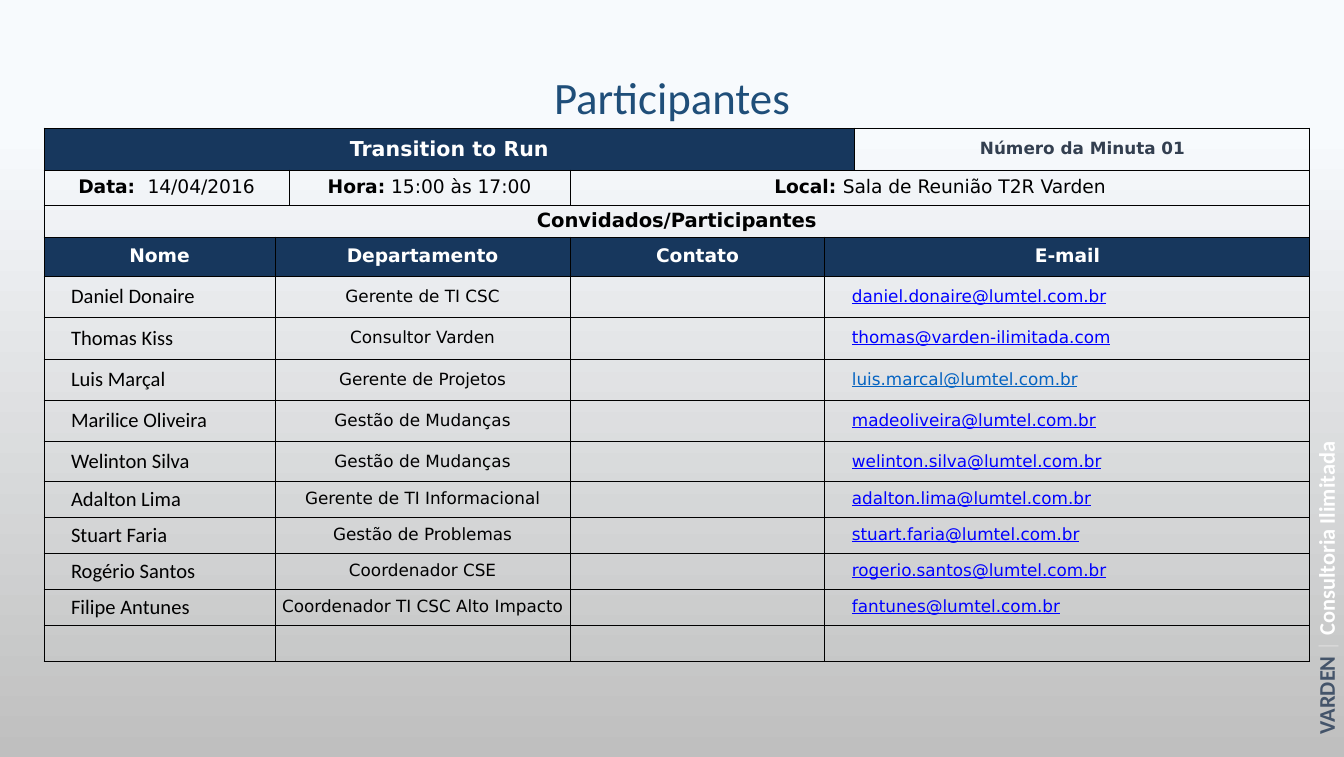
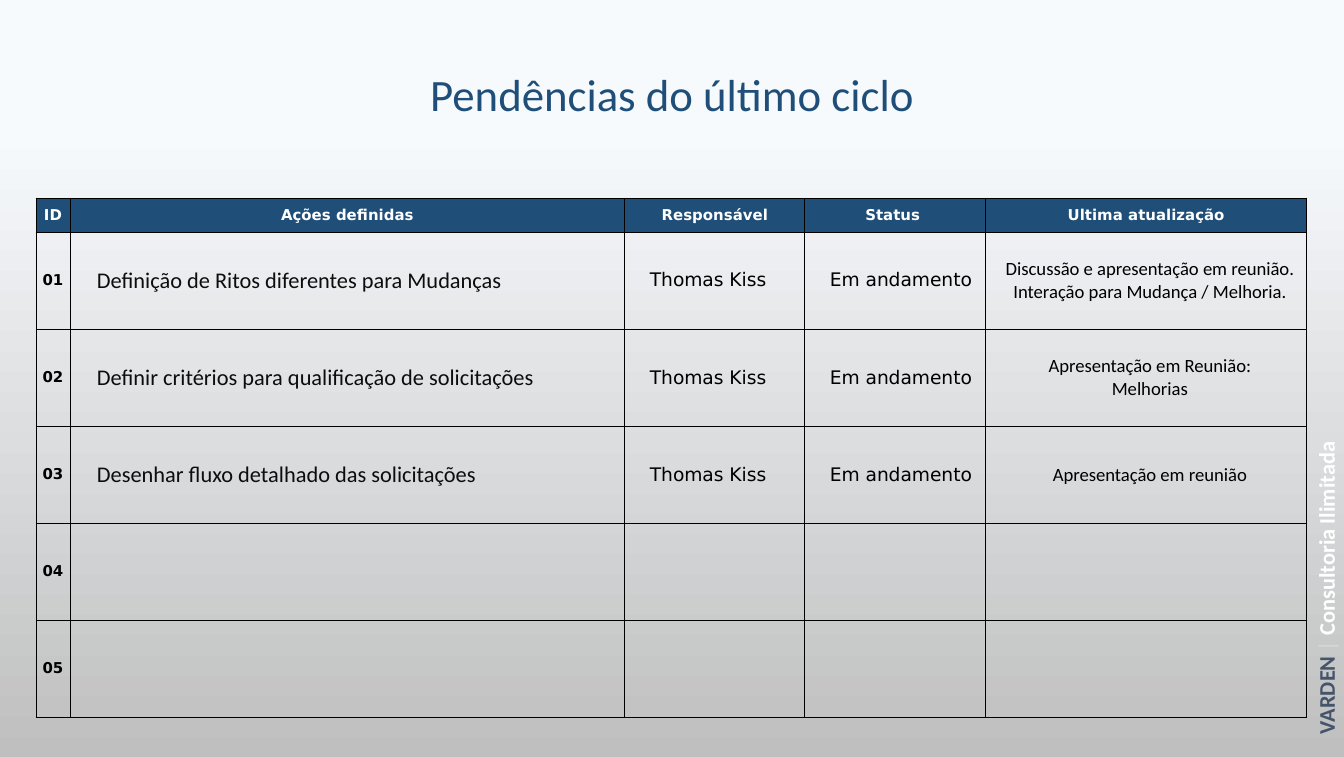
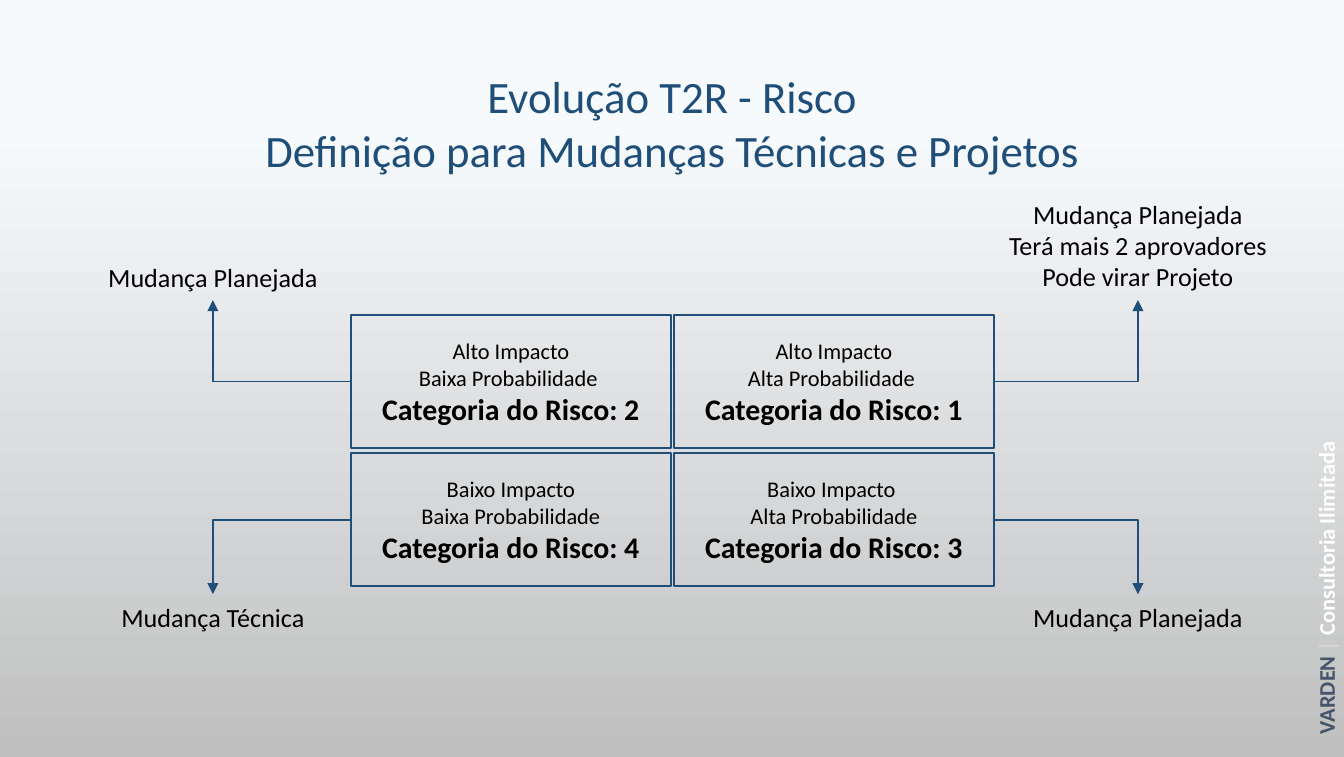
from dataclasses import dataclass
from typing import Optional, Union

from lxml import etree
from pptx import Presentation
from pptx.dml.color import RGBColor
from pptx.enum.shapes import MSO_CONNECTOR, MSO_SHAPE
from pptx.enum.text import MSO_ANCHOR, MSO_AUTO_SIZE, PP_ALIGN
from pptx.oxml.ns import qn
from pptx.slide import Slide
from pptx.table import Table, _Cell
from pptx.text.text import TextFrame
from pptx.util import Emu, Inches, Pt

LEFT, CENTER, RIGHT = PP_ALIGN.LEFT, PP_ALIGN.CENTER, PP_ALIGN.RIGHT
TOP, MIDDLE = MSO_ANCHOR.TOP, MSO_ANCHOR.MIDDLE
RECTANGLE, ELBOW = MSO_SHAPE.RECTANGLE, MSO_CONNECTOR.ELBOW
GROW, FIXED = MSO_AUTO_SIZE.SHAPE_TO_FIT_TEXT, MSO_AUTO_SIZE.NONE

EMU_PER_PX = 914400 / 134.4
SLIDE_W = 1344
SLIDE_SIZE = Inches(10), Inches(5.63)
SANS, WIDE_SANS = "Calibri", "DejaVu Sans"
NO_INSET = (0, 0, 0, 0)
BOX_INSET = (13, 7, 13, 7)
PLAIN_TABLE = "{2D5ABB26-0587-4C30-8999-92F81FD0307C}"

COLORS = {
    "sky": "F7FAFD",
    "gray": "BFBFBF",
    "blue": "1F4E79",
    "navy": "17375D",
    "slate": "333F50",
    "brand": "44546A",
    "divider": "D9D9D9",
    "white": "FFFFFF",
    "black": "000000",
    "ink": "0D0D0D",
    "link": "0000FF",
    "visited": "0563C1",
}


@dataclass
class Run:
    text: str
    bold: Optional[bool] = None
    color: Optional[str] = None


@dataclass
class Participant:
    name: str
    department: str
    email: str
    email_color: str = "link"


@dataclass
class Action:
    number: str
    title: str = ""
    owner: str = ""
    status: str = ""
    update: tuple[str, ...] = ()


@dataclass
class Quadrant:
    column: int
    row: int
    impact: str
    likelihood: str
    category: int
    outcome: tuple[str, ...]
    outcome_w: int
    outcome_h: int = 46


Paragraph = Union[str, list[Run]]


def px(value: float) -> Emu:
    return Emu(round(value * EMU_PER_PX))


def rgb(name: str) -> RGBColor:
    return RGBColor.from_string(COLORS[name])


# Shared text and slide parts
def write(frame: TextFrame, *paragraphs: Paragraph, size: float, font: str = SANS,
          color: str = "black", bold: bool = False, underline: bool = False,
          align: PP_ALIGN = CENTER, last_size: Optional[float] = None) -> None:
    """Fill a frame; last_size makes the last paragraph bold in that size."""
    for index, content in enumerate(paragraphs):
        paragraph = frame.paragraphs[0] if index == 0 else frame.add_paragraph()
        paragraph.alignment = align
        stressed = last_size is not None and index == len(paragraphs) - 1
        for part in [Run(content)] if isinstance(content, str) else content:
            run = paragraph.add_run()
            run.text = part.text
            run.font.name = font
            run.font.size = Pt(last_size if stressed else size)
            run.font.bold = (bold or stressed) if part.bold is None else part.bold
            run.font.underline = underline
            run.font.color.rgb = rgb(part.color or color)


def pad(holder: Union[TextFrame, _Cell], insets: tuple[int, int, int, int],
        anchor: MSO_ANCHOR) -> None:
    left, top, right, bottom = insets
    holder.margin_left, holder.margin_top = px(left), px(top)
    holder.margin_right, holder.margin_bottom = px(right), px(bottom)
    holder.vertical_anchor = anchor


def add_text(slide: Slide, left: float, top: float, width: float, height: float,
             *paragraphs: Paragraph, insets: tuple[int, int, int, int] = BOX_INSET,
             wrap: bool = True, rotation: int = 0, fit: MSO_AUTO_SIZE = GROW,
             **style) -> None:
    box = slide.shapes.add_textbox(px(left), px(top), px(width), px(height))
    box.rotation = rotation
    box.text_frame.word_wrap = wrap
    box.text_frame.auto_size = fit
    pad(box.text_frame, insets, TOP)
    write(box.text_frame, *paragraphs, **style)


def new_slide(prs: Presentation, *title: str, title_h: int, title_y: int = 62,
              title_insets: tuple[int, int, int, int] = (52, 7, 52, 52)) -> Slide:
    slide = prs.slides.add_slide(prs.slide_layouts[6])
    fill = slide.background.fill
    fill.gradient()
    fill.gradient_angle = 270
    for stop, color, position in zip(fill.gradient_stops, ("sky", "gray"), (0.17, 1)):
        stop.color.rgb = rgb(color)
        stop.position = position
    signature = [Run("VARDEN", color="brand"), Run(" | ", False, "divider"),
                 Run("Consultoria Ilimitada", color="white")]
    add_text(slide, 1160, 574, 329, 38, signature, rotation=270, fit=FIXED,
             size=12, bold=True, align=RIGHT)
    add_text(slide, 0, title_y, SLIDE_W, title_h, *title, insets=title_insets,
             size=24, color="blue")
    return slide


# Shared table parts
def add_grid(slide: Slide, left: int, top: int, columns: list[int],
             rows: list[int]) -> Table:
    frame = slide.shapes.add_table(len(rows), len(columns), px(left), px(top),
                                   px(sum(columns)), px(sum(rows)))
    table = frame.table
    table.first_row = table.horz_banding = False
    table._tbl.tblPr.find(qn("a:tableStyleId")).text = PLAIN_TABLE
    for column, width in zip(table.columns, columns):
        column.width = px(width)
    for row, height in zip(table.rows, rows):
        row.height = px(height)
    for cell in table.iter_cells():
        pad(cell, NO_INSET, MIDDLE)
        add_borders(cell)
        cell.fill.background()
        # Small end mark, so that empty cells do not stretch their row
        etree.SubElement(cell.text_frame.paragraphs[0]._p, qn("a:endParaRPr"), sz="900")
    return table


def add_borders(cell: _Cell) -> None:
    properties = cell._tc.get_or_add_tcPr()
    for side in ("a:lnL", "a:lnR", "a:lnT", "a:lnB"):
        line = etree.SubElement(properties, qn(side), w=str(Pt(0.5)))
        solid = etree.SubElement(line, qn("a:solidFill"))
        etree.SubElement(solid, qn("a:srgbClr"), val=COLORS["black"])


def fill_cell(cell: _Cell, *paragraphs: Paragraph, fill: Optional[str] = None,
              indent: int = 0, **style) -> None:
    cell.margin_left = px(indent)
    if fill:
        cell.fill.solid()
        cell.fill.fore_color.rgb = rgb(fill)
    write(cell.text_frame, *paragraphs, **style)


# Slide 1: participants
PARTICIPANTS = [
    Participant("Daniel Donaire", "Gerente de TI CSC", "daniel.donaire@lumtel.com.br"),
    Participant("Thomas Kiss", "Consultor Varden", "thomas@varden-ilimitada.com"),
    Participant("Luis Marçal", "Gerente de Projetos", "luis.marcal@lumtel.com.br", "visited"),
    Participant("Marilice Oliveira", "Gestão de Mudanças", "madeoliveira@lumtel.com.br"),
    Participant("Welinton Silva", "Gestão de Mudanças", "welinton.silva@lumtel.com.br"),
    Participant("Adalton Lima", "Gerente de TI Informacional", "adalton.lima@lumtel.com.br"),
    Participant("Stuart Faria", "Gestão de Problemas", "stuart.faria@lumtel.com.br"),
    Participant("Rogério Santos", "Coordenador CSE", "rogerio.santos@lumtel.com.br"),
    Participant("Filipe Antunes", "Coordenador TI CSC Alto Impacto", "fantunes@lumtel.com.br"),
]


def build_participants(prs: Presentation) -> None:
    slide = new_slide(prs, "Participantes", title_h=67, title_y=63, title_insets=BOX_INSET)
    heights = [42, 35, 32, 39, 41, 42, 41, 42, 39] + [36] * 5
    table = add_grid(slide, 44, 128, [231, 14, 281, 255, 30, 455], heights)
    header_rows = 4
    merges = [(0, 0, 4), (1, 0, 1), (1, 3, 5), (2, 0, 5)]
    for row in range(header_rows - 1, len(heights)):
        merges += [(row, 1, 2), (row, 4, 5)]
    for row, first, last in merges:
        table.cell(row, first).merge(table.cell(row, last))

    # Meeting details
    fill_cell(table.cell(0, 0), "Transition to Run", fill="navy", size=11,
              font=WIDE_SANS, color="white", bold=True)
    fill_cell(table.cell(0, 5), "Número da Minuta 01", size=9, font=WIDE_SANS,
              color="slate", bold=True)
    details = [(0, "Data: ", " 14/04/2016"), (2, "Hora:", " 15:00 às 17:00"),
               (3, "Local: ", "Sala de Reunião T2R Varden")]
    for column, label, value in details:
        fill_cell(table.cell(1, column), [Run(label, True), Run(value)],
                  size=10, font=WIDE_SANS)
    fill_cell(table.cell(2, 0), "Convidados/Participantes", size=10.5,
              font=WIDE_SANS, bold=True)

    # People
    for column, heading in zip((0, 1, 3, 4), ("Nome", "Departamento", "Contato", "E-mail")):
        fill_cell(table.cell(3, column), heading, fill="navy", size=10,
                  font=WIDE_SANS, color="white", bold=True)
    for row, person in enumerate(PARTICIPANTS, header_rows):
        fill_cell(table.cell(row, 0), person.name, indent=27, size=11, align=LEFT)
        fill_cell(table.cell(row, 1), person.department, size=9, font=WIDE_SANS)
        fill_cell(table.cell(row, 4), person.email, indent=27, size=9, font=WIDE_SANS,
                  color=person.email_color, underline=True, align=LEFT)


# Slide 2: pending actions
ACTIONS = [
    Action("01", "Definição de Ritos diferentes para Mudanças", "Thomas Kiss", "Em andamento",
           ("Discussão e apresentação em reunião.", "Interação para Mudança / Melhoria.")),
    Action("02", "Definir critérios para qualificação de solicitações", "Thomas Kiss",
           "Em andamento", ("Apresentação em Reunião:", "Melhorias")),
    Action("03", "Desenhar fluxo detalhado das solicitações", "Thomas Kiss",
           "Em andamento", ("Apresentação em reunião",)),
    Action("04"),
    Action("05"),
]


def build_pending(prs: Presentation) -> None:
    slide = new_slide(prs, "Pendências do último ciclo", title_h=156)
    table = add_grid(slide, 36, 198, [34, 555, 180, 181, 321], [34] + [97] * len(ACTIONS))
    headings = ("ID", "Ações definidas", "Responsável", "Status ", "Ultima atualização")
    for column, heading in enumerate(headings):
        fill_cell(table.cell(0, column), heading, fill="blue", size=8,
                  font=WIDE_SANS, color="white", bold=True)
    for row, action in enumerate(ACTIONS, 1):
        fill_cell(table.cell(row, 0), action.number, size=8, font=WIDE_SANS, bold=True)
        if not action.title:
            continue
        fill_cell(table.cell(row, 1), action.title, indent=27, size=12,
                  color="ink", align=LEFT)
        for column, value in ((2, action.owner), (3, action.status)):
            fill_cell(table.cell(row, column), value, indent=25, size=10,
                      font=WIDE_SANS, align=LEFT)
        fill_cell(table.cell(row, 4), *action.update, indent=7, size=10)


# Slide 3: risk matrix
QUADRANTS = [
    Quadrant(0, 0, "Alto Impacto", "Baixa Probabilidade ", 2, ("Mudança Planejada",), 239),
    Quadrant(0, 1, "Baixo Impacto", "Baixa Probabilidade", 4, ("Mudança Técnica",), 212),
    Quadrant(1, 1, "Baixo Impacto ", "Alta Probabilidade", 3, ("Mudança Planejada",), 239),
    Quadrant(1, 0, "Alto Impacto", "Alta Probabilidade ", 1,
             ("Mudança Planejada", "Terá mais 2 aprovadores", "Pode virar Projeto"), 288, 109),
]
MATRIX_X, MATRIX_Y = 351, 315
QUADRANT_W, QUADRANT_H = 320, 133
STEP_X, STEP_Y = 323, 138
OUTCOME_X = (213, 1138)
OUTCOME_Y = (300, 594)


def add_arrow(slide: Slide, start: tuple[float, float], end: tuple[float, float]) -> None:
    arrow = slide.shapes.add_connector(ELBOW, *(px(value) for value in (*start, *end)))
    arrow.line.color.rgb = rgb("blue")
    arrow.line.width = Pt(1)
    properties = arrow._element.spPr
    properties.find(qn("a:prstGeom")).set("prst", "bentConnector2")
    etree.SubElement(properties.find(qn("a:ln")), qn("a:tailEnd"), type="triangle")
    etree.SubElement(properties, qn("a:effectLst"))


def add_quadrant(slide: Slide, quadrant: Quadrant) -> None:
    left = MATRIX_X + quadrant.column * STEP_X
    top = MATRIX_Y + quadrant.row * STEP_Y
    box = slide.shapes.add_shape(RECTANGLE, px(left), px(top), px(QUADRANT_W), px(QUADRANT_H))
    box.shadow.inherit = False
    box.fill.background()
    box.line.color.rgb = rgb("blue")
    box.line.width = Pt(1)
    box.text_frame.word_wrap = True
    pad(box.text_frame, BOX_INSET, MIDDLE)
    write(box.text_frame, quadrant.impact, quadrant.likelihood,
          f"Categoria do Risco: {quadrant.category}", size=12, last_size=16)

    # Arrow from the outer side to the outcome
    outcome_x, outcome_y = OUTCOME_X[quadrant.column], OUTCOME_Y[quadrant.row]
    add_arrow(slide, (left + quadrant.column * QUADRANT_W, top + QUADRANT_H / 2),
              (outcome_x, outcome_y))
    label_top = outcome_y if quadrant.row else outcome_y - quadrant.outcome_h
    add_text(slide, outcome_x - quadrant.outcome_w / 2, label_top, quadrant.outcome_w,
             quadrant.outcome_h, *quadrant.outcome, wrap=False, size=14)


def build_risk(prs: Presentation) -> None:
    slide = new_slide(prs, "Evolução T2R - Risco",
                      "Definição para Mudanças Técnicas e Projetos", title_h=169)
    for quadrant in QUADRANTS:
        add_quadrant(slide, quadrant)


def main() -> None:
    prs = Presentation()
    prs.slide_width, prs.slide_height = SLIDE_SIZE
    build_participants(prs)
    build_pending(prs)
    build_risk(prs)
    prs.save("out.pptx")


if __name__ == "__main__":
    main()
